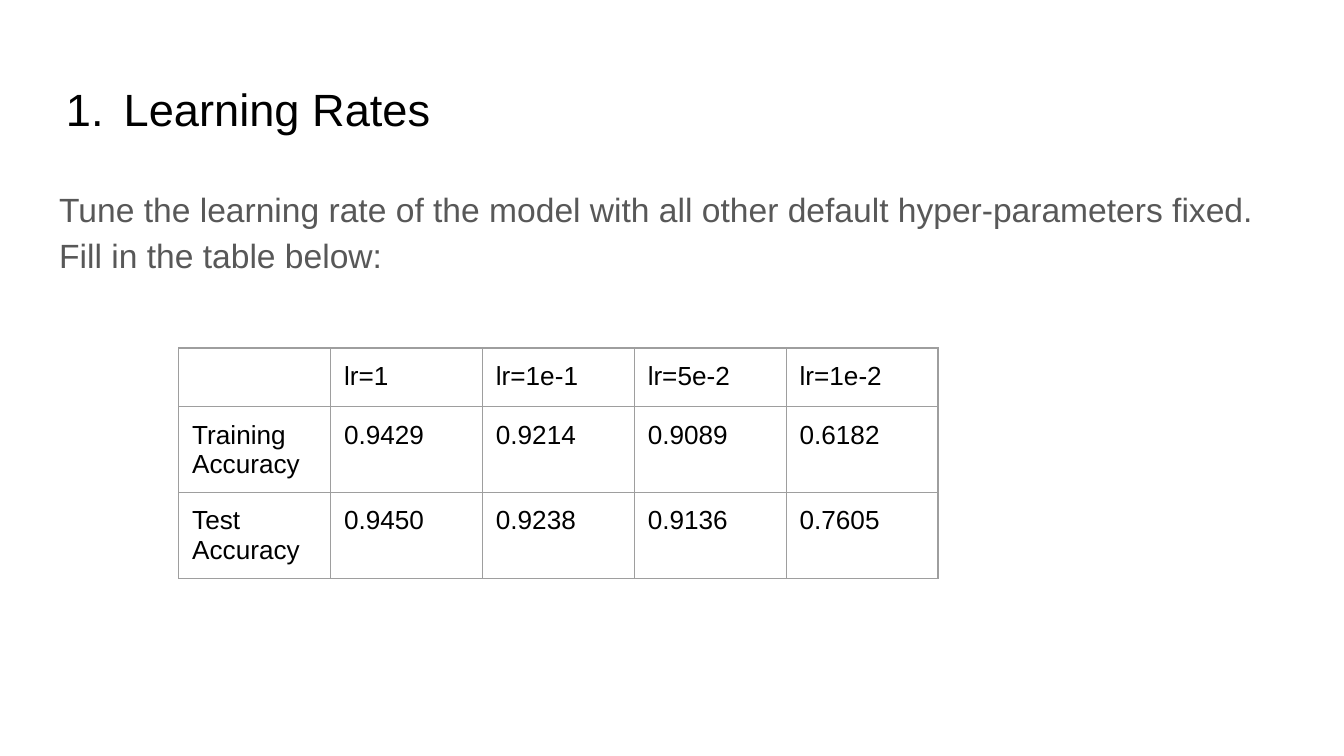
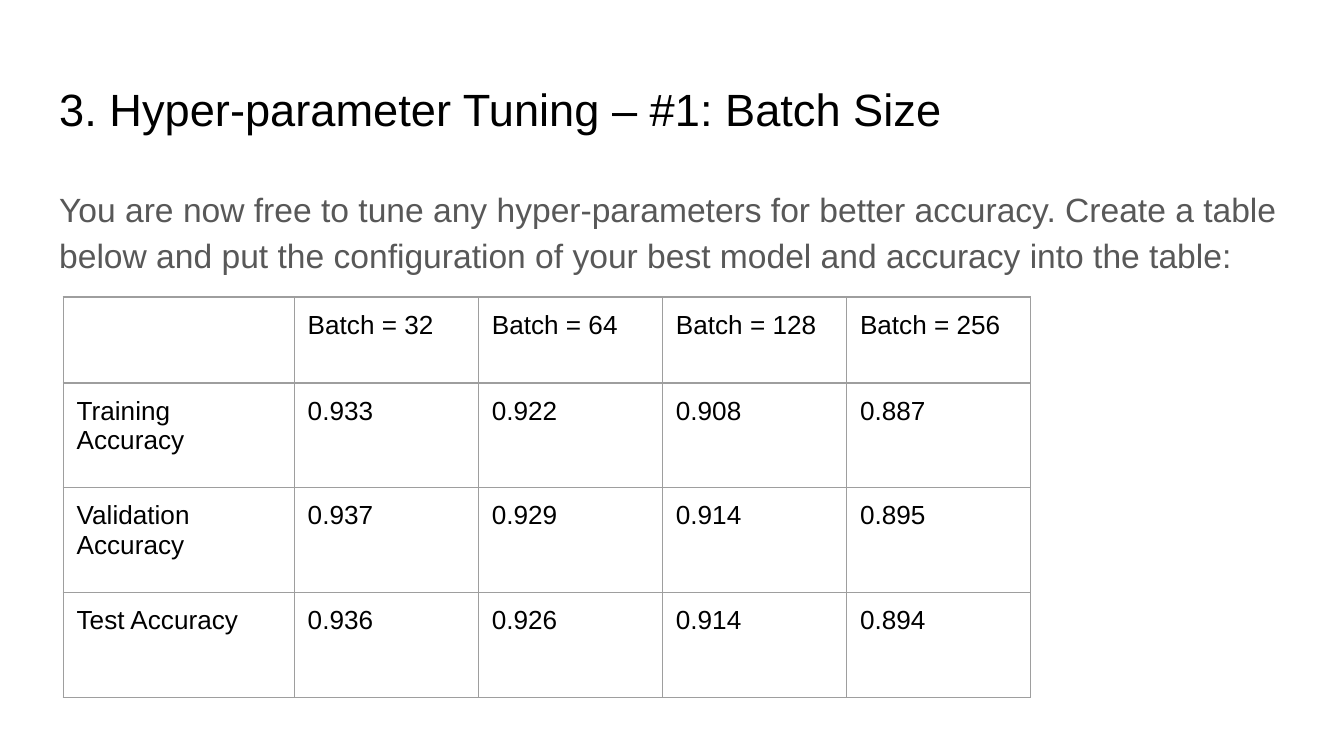
"""Build two slides that tabulate model accuracy by learning rate and by batch size."""
import lxml.etree
import pptx
import pptx.dml.color
import pptx.enum.text
import pptx.oxml.ns
import pptx.util

FONT = "Arial"
BLACK, GREY, WHITE, RULE = "000000", "585858", "FFFFFF", "9E9E9E"
GRID = pptx.util.Inches(0.1)


def units(count):
    return round(count * GRID)


def colour(value):
    return pptx.dml.color.RGBColor.from_string(value)


def add_xml(parent, tag, **attributes):
    return lxml.etree.SubElement(parent, pptx.oxml.ns.qn(tag), attributes)


def write(frame, text, *, size, tone=BLACK, spacing=1.0, anchor="TOP"):
    frame.word_wrap = True
    frame.vertical_anchor = pptx.enum.text.MSO_ANCHOR[anchor]
    para = frame.paragraphs[0]
    para.alignment = pptx.enum.text.PP_ALIGN.LEFT
    para.line_spacing = spacing
    para.space_before = para.space_after = pptx.util.Pt(0)
    if not text:
        add_xml(para._p, "a:endParaRPr", sz=str(size * 100))
        return para
    span = para.add_run()
    span.text = text
    span.font.name = FONT
    span.font.size = pptx.util.Pt(size)
    span.font.color.rgb = colour(tone)
    return para


class Slides:
    def __init__(self):
        self.deck = pptx.Presentation()
        self.deck.slide_width = units(100)
        self.deck.slide_height = units(56.25)
        self.page = None

    def start(self):
        self.page = self.deck.slides.add_slide(self.deck.slide_layouts[1])
        self.page.background.fill.solid()
        self.page.background.fill.fore_color.rgb = colour(WHITE)

    def place(self, box, top, height, text, **style):
        box.left, box.top = units(3.4), units(top)
        box.width, box.height = units(93.2), units(height)
        frame = box.text_frame
        frame.auto_size = pptx.enum.text.MSO_AUTO_SIZE.NONE
        frame.margin_left = frame.margin_right = units(1)
        frame.margin_top = frame.margin_bottom = units(1)
        return write(frame, text, **style)

    def title(self, text, numbered=False):
        para = self.place(self.page.shapes.title, 4.9, 6.3, text, size=24.2, anchor="MIDDLE")
        if numbered:
            properties = para._p.get_or_add_pPr()
            properties.set("marL", str(units(4.8)))
            properties.set("indent", str(units(-4.3)))
            add_xml(add_xml(properties, "a:buClr"), "a:srgbClr", val=BLACK)
            add_xml(properties, "a:buFont", typeface=FONT)
            add_xml(properties, "a:buAutoNum", type="arabicPeriod")

    def body(self, text):
        para = self.place(self.page.placeholders[1], 12.6, 37.4, text,
                          size=18, tone=GREY, spacing=1.15)
        properties = para._p.get_or_add_pPr()
        properties.set("marL", "0")
        properties.set("indent", "0")
        add_xml(properties, "a:buNone")

    def table(self, left, top, widths, heights, rows):
        frame = self.page.shapes.add_table(len(heights), len(widths), units(left), units(top),
                                           units(sum(widths)), units(sum(heights)))
        table = frame.table
        table.first_row = table.horz_banding = False
        for column, width in zip(table.columns, widths):
            column.width = units(width)
        for row, height, texts in zip(table.rows, heights, rows):
            row.height = units(height)
            for cell, text in zip(row.cells, texts):
                self.cell(cell, text)

    def cell(self, cell, text):
        cell.margin_left = cell.margin_right = units(1)
        cell.margin_top = cell.margin_bottom = units(1)
        write(cell.text_frame, text, size=14)
        properties = cell._tc.get_or_add_tcPr()
        for side in ("a:lnL", "a:lnR", "a:lnT", "a:lnB"):
            line = add_xml(properties, side, w=str(pptx.util.Pt(0.75)))
            add_xml(add_xml(line, "a:solidFill"), "a:srgbClr", val=RULE)
        add_xml(add_xml(properties, "a:solidFill"), "a:srgbClr", val=WHITE)


def main():
    slides = Slides()

    slides.start()
    slides.title("Learning Rates", numbered=True)
    slides.body("Tune the learning rate of the model with all other default "
                "hyper-parameters fixed. Fill in the table below:")
    slides.table(13.3, 25.9, [11.3] * 5, [4.2, 6.35, 6.35], [
        ["", "lr=1", "lr=1e-1", "lr=5e-2", "lr=1e-2"],
        ["Training Accuracy", "0.9429", "0.9214", "0.9089", "0.6182"],
        ["Test Accuracy", "0.9450", "0.9238", "0.9136", "0.7605"],
    ])

    slides.start()
    slides.title("3. Hyper-parameter Tuning – #1: Batch Size")
    slides.body("You are now free to tune any hyper-parameters for better accuracy. "
                "Create a table below and put the configuration of your best model "
                "and accuracy into the table:")
    slides.table(4.7, 22.1, [17.2] + [13.7] * 4, [6.4] + [7.8] * 3, [
        ["", "Batch = 32", "Batch = 64", "Batch = 128", "Batch = 256"],
        ["Training Accuracy", "0.933", "0.922", "0.908", "0.887"],
        ["Validation Accuracy", "0.937", "0.929", "0.914", "0.895"],
        ["Test Accuracy", "0.936", "0.926", "0.914", "0.894"],
    ])

    slides.deck.save("out.pptx")


if __name__ == "__main__":
    main()
